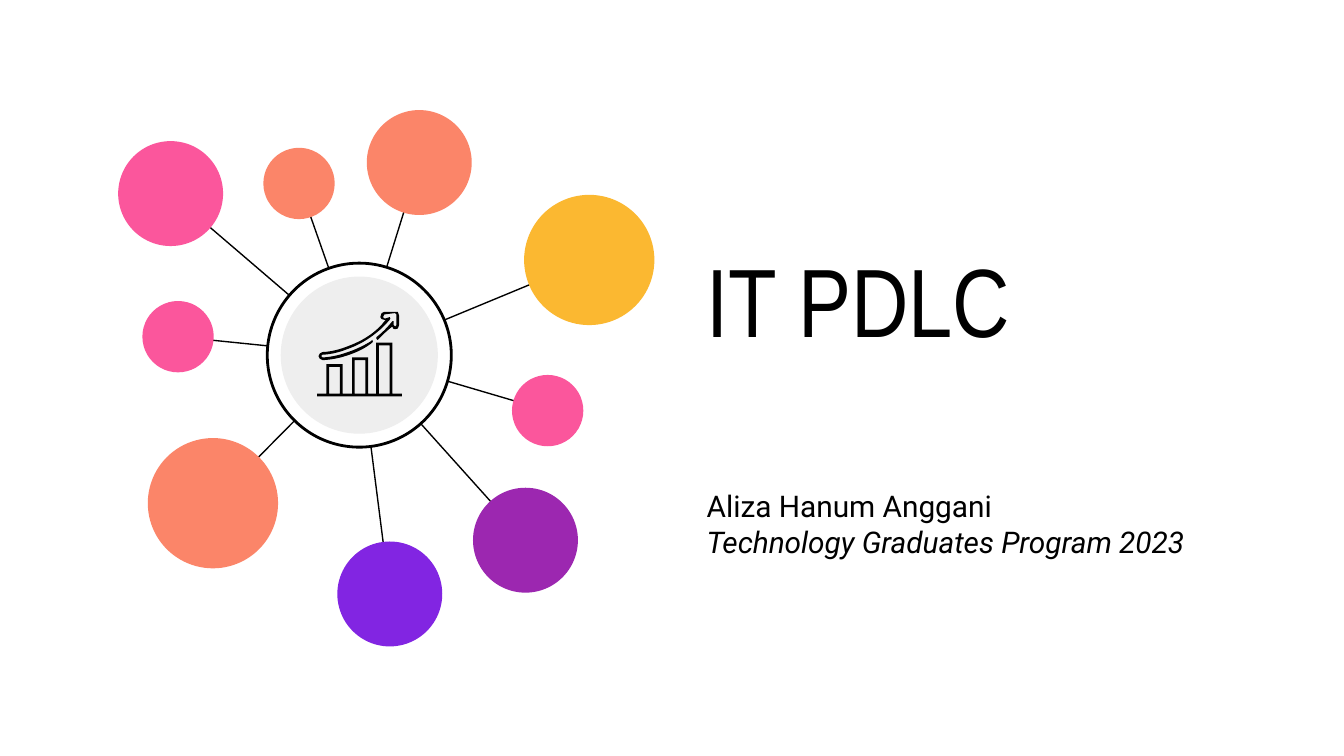
from lxml import etree
from pptx import Presentation, util as u
from pptx.dml.color import RGBColor
from pptx.enum import shapes, text
from pptx.oxml.ns import qn

COLORS = {
    "black": "000000", "white": "FFFFFF", "gray": "EEEEEE",
    "yellow": "FBB831", "orange": "FB8569", "pink": "FB569C",
    "purple": "9C27B0", "violet": "8225E2",
}

HUB = (192.5, 190.3)
LARGE, MEDIUM, SMALL = 69.8, 56.2, 38.2
SATELLITES = [
    (315.7, 139.3, LARGE, "yellow"),
    (114.1, 269.6, LARGE, "orange"),
    (224.6, 87.1, MEDIUM, "orange"),
    (91.4, 103.7, MEDIUM, "pink"),
    (281.5, 289.4, MEDIUM, "purple"),
    (208.8, 318.2, MEDIUM, "violet"),
    (95.4, 180.4, SMALL, "pink"),
    (293.4, 220, SMALL, "pink"),
    (160.2, 98.3, SMALL, "orange"),
]

ICON_UNIT = 0.72
BARS = [(243, 271), (262, 266), (280, 255)]
BAR_WIDTH, BAR_STROKE = 12, 2
BASE_LEFT, BASE_RIGHT, BASE_TOP, BASE_BOTTOM = 236, 299, 293, 295


def color(name):
    return RGBColor.from_string(COLORS[name])


def add_circle(slide, center, diameter, fill, outline=None):
    left, top = (c - diameter / 2 for c in center)
    circle = slide.shapes.add_shape(
        shapes.MSO_SHAPE.OVAL, u.Pt(left), u.Pt(top), u.Pt(diameter), u.Pt(diameter))
    circle.shadow.inherit = False
    circle.fill.solid()
    circle.fill.fore_color.rgb = color(fill)
    if outline:
        circle.line.color.rgb = color(outline)
        circle.line.width = u.Pt(1.5)
    else:
        circle.line.fill.background()


def add_spoke(slide, start, end):
    spoke = slide.shapes.add_connector(
        shapes.MSO_CONNECTOR.STRAIGHT, *(u.Pt(c) for c in (*start, *end)))
    spoke.line.color.rgb = color("black")
    spoke.line.width = u.Pt(0.75)
    etree.SubElement(spoke._element.spPr, qn("a:effectLst"))


def curve(p0, p1, p2, p3, steps=10):
    points = []
    for step in range(steps + 1):
        t = step / steps
        s = 1 - t
        points.append(tuple(
            s**3 * a + 3 * s * s * t * b + 3 * s * t * t * c + t**3 * d
            for a, b, c, d in zip(p0, p1, p2, p3)))
    return points


def add_outline(slide, contours):
    scaled = [[(u.Pt(x * ICON_UNIT), u.Pt(y * ICON_UNIT)) for x, y in contour]
              for contour in contours]
    builder = slide.shapes.build_freeform(*scaled[0][0])
    for index, contour in enumerate(scaled):
        if index:
            builder.move_to(*contour[0])
        builder.add_line_segments(contour[1:], close=True)
    outline = builder.convert_to_shape()
    outline.shadow.inherit = False
    outline.fill.solid()
    outline.fill.fore_color.rgb = color("black")
    outline.line.fill.background()


def add_bars(slide):
    silhouette = [(BASE_LEFT, BASE_BOTTOM), (BASE_LEFT, BASE_TOP)]
    openings = []
    for left, top in BARS:
        right = left + BAR_WIDTH
        inner_left, inner_right, inner_top = left + BAR_STROKE, right - BAR_STROKE, top + BAR_STROKE
        silhouette += [(left, BASE_TOP), (left, top), (right, top), (right, BASE_TOP)]
        openings.append([(inner_left, BASE_TOP), (inner_left, inner_top),
                         (inner_right, inner_top), (inner_right, BASE_TOP)])
    silhouette += [(BASE_RIGHT, BASE_TOP), (BASE_RIGHT, BASE_BOTTOM)]
    add_outline(slide, [silhouette, *openings])


def add_growth_arrow(slide):
    upper_outside = (
        curve((240, 262), (240, 262), (248, 262), (258, 258))
        + curve((258, 258), (266, 255), (278, 250), (287, 238)))
    tail_outside = (
        curve((240, 268), (240, 268), (249, 268), (260, 264))
        + curve((260, 264), (266, 262), (272, 259), (277, 255)))
    tail_inside = (
        curve((276, 254), (271, 257), (265, 260), (259, 262))
        + curve((259, 262), (248, 266), (240, 266), (240, 266)))
    upper_inside = (
        curve((240, 264), (240, 264), (248, 264), (258, 260))
        + curve((258, 260), (267, 257), (280, 250), (290, 238)))
    neck = curve((292, 239), (288, 244), (284, 248), (280, 251))
    neck_back = curve((281, 253), (285, 249), (288, 246), (292, 243))
    add_outline(slide, [
        [(294, 232), (286, 232), (284, 233), (283, 236), (284, 237.5), (286, 238)]
        + upper_outside[::-1]
        + [(238, 263), (237, 265), (238, 267)]
        + tail_outside + [(277.5, 254), (277, 253)]
        + tail_inside + [(239, 265)]
        + upper_inside
        + [(290.5, 237), (290, 236), (287, 237), (286, 237), (285, 236), (286, 234),
           (294, 233), (295, 234), (295, 242), (294, 243), (293, 242), (293, 239)]
        + neck + [(280, 252)] + neck_back
        + [(292.5, 244.5), (294, 245), (296, 244.5), (297, 242), (297, 235), (296, 232)],
    ])


def add_text(slide, box, lines, font, size, italic_lines=()):
    frame = slide.shapes.add_textbox(*(u.Pt(length) for length in box)).text_frame
    frame.word_wrap = True
    frame.vertical_anchor = text.MSO_ANCHOR.MIDDLE
    frame.margin_left = frame.margin_right = u.Pt(7.2)
    frame.margin_top = frame.margin_bottom = u.Pt(7.2)
    frame.text = "\n".join(lines)
    for index, paragraph in enumerate(frame.paragraphs):
        for run in paragraph.runs:
            run.font.name = font
            run.font.size = u.Pt(size)
            run.font.italic = index in italic_lines
            run.font.color.rgb = color("black")


def main():
    deck = Presentation()
    deck.slide_width, deck.slide_height = u.Pt(720), u.Pt(405)
    slide = deck.slides.add_slide(deck.slide_layouts[6])

    add_text(slide, (371.5, 143.5, 270.7, 33), ["IT PDLC"], "Arial Narrow", 52)
    add_text(slide, (371.5, 264.2, 310.3, 33),
             ["Aliza Hanum Anggani", "Technology Graduates Program 2023"],
             "Roboto", 16, italic_lines=(1,))

    for x, y, diameter, fill in SATELLITES:
        add_spoke(slide, (x, y), HUB)
        add_circle(slide, (x, y), diameter, fill)
    add_circle(slide, HUB, 98.6, "white", "black")
    add_circle(slide, HUB, 84.2, "gray")
    add_bars(slide)
    add_growth_arrow(slide)

    deck.save("out.pptx")


if __name__ == "__main__":
    main()
